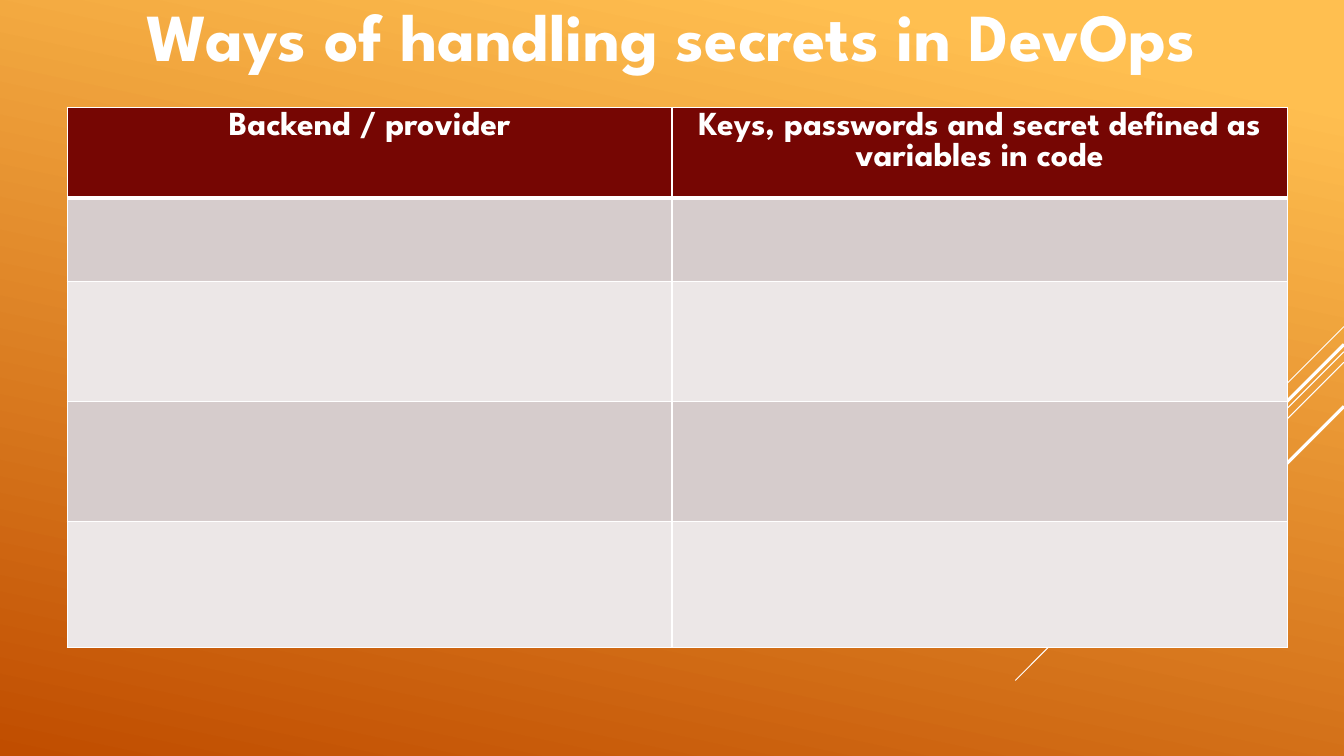
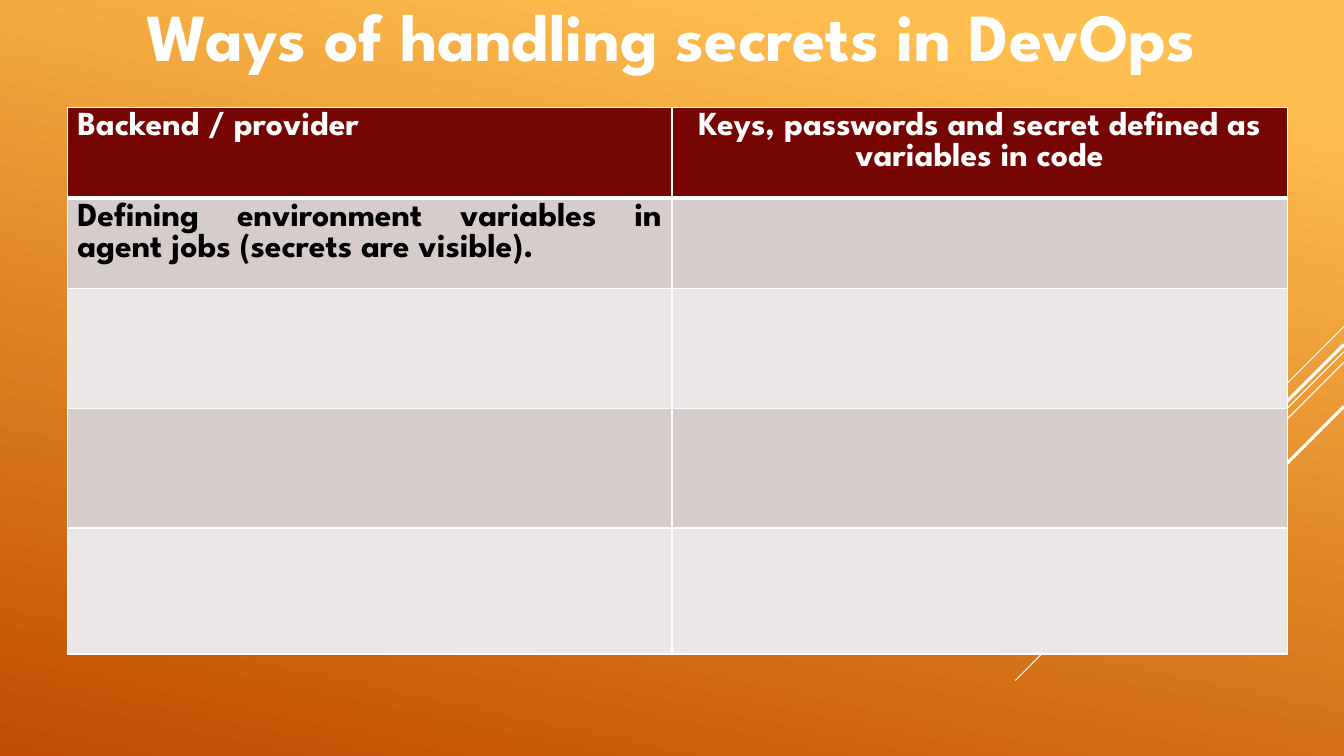
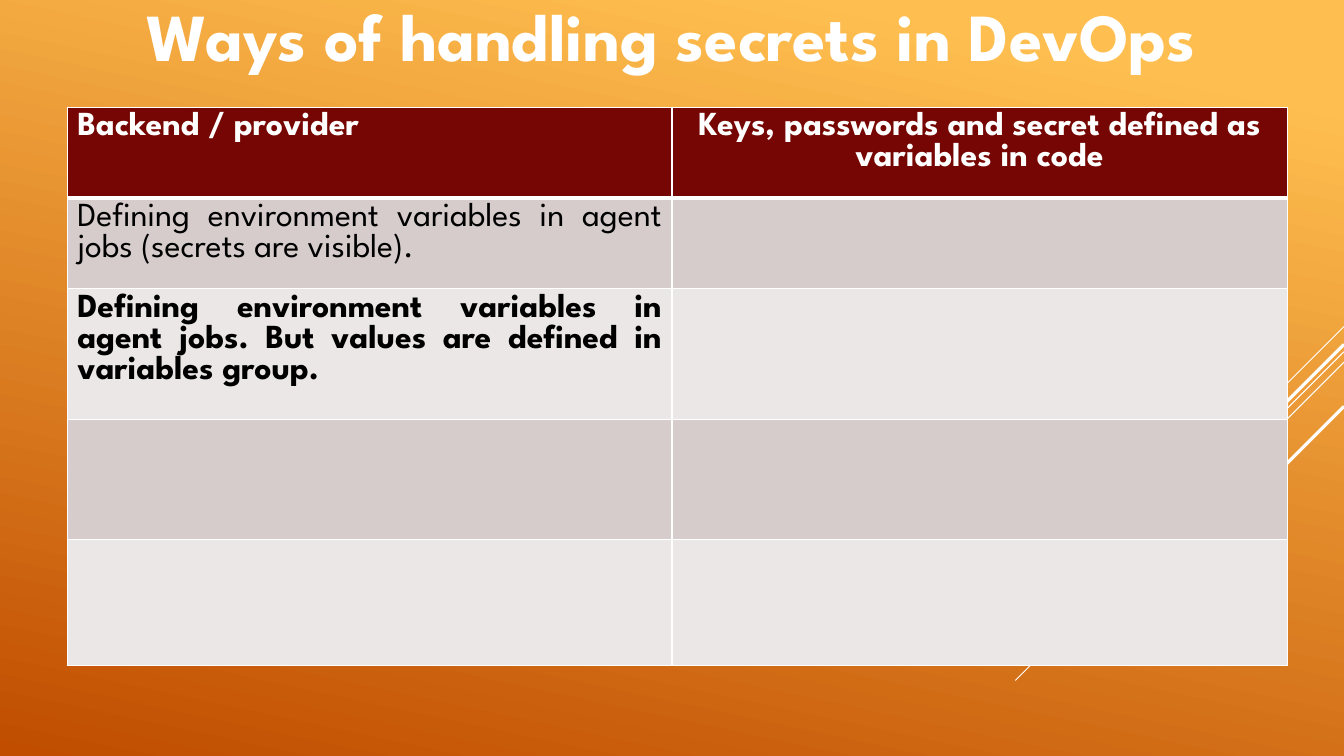
import pptx
import pptx.util
import pptx.dml.color
import pptx.enum.shapes
import pptx.enum.text
import pptx.oxml.ns
from lxml import etree

# Content
TITLE = "Ways of handling secrets in DevOps"
HEADS = ["Backend / provider", "Keys, passwords and secret defined as variables in code"]
WAYS = [
    "Defining environment variables in agent jobs (secrets are visible).",
    "Defining environment variables in agent jobs. But values are defined in variables group.",
]

# Layout in px, 96 to the inch
PX = 9525
WIDE, HIGH = 1280, 720
TITLE_BOX = (64, 2, 1151, 74)
TABLE_AT = (64, 102)
COLS = [576, 586]
ROWS = [80, 80, 114, 114, 120]
# Diagonals from the right edge: top, run, width in points
RAYS = [(311, 96, 0.75), (335, 313, 0.75), (345, 199, 0.75), (328, 184, 2.25), (387, 133, 2.25)]


class Theme:
    font = "League Spartan"
    white, black = "FFFFFF", "000000"
    head = "760603"
    bands = ["D6CCCC", "ECE7E7"]
    sky = [(0.1, "FFBF50"), (1, "C04D00")]
    angle = 258
    title, body = 48, 24
    thin, thick = 1, 3


ALIGN = pptx.enum.text.PP_ALIGN


def rgb(code):
    return pptx.dml.color.RGBColor.from_string(code)


def px(*sizes):
    return [size * PX for size in sizes]


def write(frame, text, size, color, bold, align):
    para = frame.paragraphs[0]
    para.text = text
    para.alignment = align
    font = para.font
    font.name, font.size, font.bold = Theme.font, pptx.util.Pt(size), bold
    font.color.rgb = rgb(color)


def paint_back(master):
    fill = master.background.fill
    fill.gradient()
    fill.gradient_angle = Theme.angle
    for stop, (place, color) in zip(fill.gradient_stops, Theme.sky):
        stop.position = place
        stop.color.rgb = rgb(color)


def add_rays(slide):
    kind = pptx.enum.shapes.MSO_CONNECTOR.STRAIGHT
    for top, run, width in RAYS:
        ray = slide.shapes.add_connector(kind, *px(WIDE, top, WIDE - run, top + run))
        ray.line.color.rgb = rgb(Theme.white)
        ray.line.width = pptx.util.Pt(width)
        etree.SubElement(ray._element.spPr, pptx.oxml.ns.qn("a:effectLst"))


def add_title(slide):
    frame = slide.shapes.add_textbox(*px(*TITLE_BOX)).text_frame
    frame.word_wrap = True
    frame.vertical_anchor = pptx.enum.text.MSO_ANCHOR.BOTTOM
    write(frame, TITLE, Theme.title, Theme.white, True, ALIGN.CENTER)


def add_edges(cell, row):
    qn = pptx.oxml.ns.qn
    props = cell._tc.get_or_add_tcPr()
    widths = {"L": Theme.thin, "R": Theme.thin,
              "T": Theme.thick if row == 1 else Theme.thin,
              "B": Theme.thick if row == 0 else Theme.thin}
    for side, width in widths.items():
        edge = etree.SubElement(props, qn("a:ln" + side), w=str(pptx.util.Pt(width)))
        fill = etree.SubElement(edge, qn("a:solidFill"))
        etree.SubElement(fill, qn("a:srgbClr"), val=Theme.white)


def add_grid(slide, shown):
    size = px(*TABLE_AT, sum(COLS), sum(ROWS))
    table = slide.shapes.add_table(len(ROWS), len(COLS), *size).table
    for col, width in zip(table.columns, COLS):
        col.width = width * PX
    for row, height in zip(table.rows, ROWS):
        row.height = height * PX

    # Fills and edges
    for r in range(len(ROWS)):
        for c in range(len(COLS)):
            cell = table.cell(r, c)
            add_edges(cell, r)
            cell.fill.solid()
            cell.fill.fore_color.rgb = rgb(Theme.bands[(r - 1) % 2] if r else Theme.head)

    # Header, then the ways shown so far with the newest in bold
    aligns = [ALIGN.JUSTIFY if shown else ALIGN.CENTER, ALIGN.CENTER]
    for c, (text, align) in enumerate(zip(HEADS, aligns)):
        write(table.cell(0, c).text_frame, text, Theme.body, Theme.white, True, align)
    for r, text in enumerate(WAYS[:shown], 1):
        write(table.cell(r, 0).text_frame, text, Theme.body, Theme.black, r == shown, ALIGN.JUSTIFY)


def main():
    deck = pptx.Presentation()
    deck.slide_width, deck.slide_height = px(WIDE, HIGH)
    paint_back(deck.slide_master)
    for shown in range(len(WAYS) + 1):
        slide = deck.slides.add_slide(deck.slide_layouts[6])
        add_rays(slide)
        add_title(slide)
        add_grid(slide, shown)
    deck.save("out.pptx")


if __name__ == "__main__":
    main()
